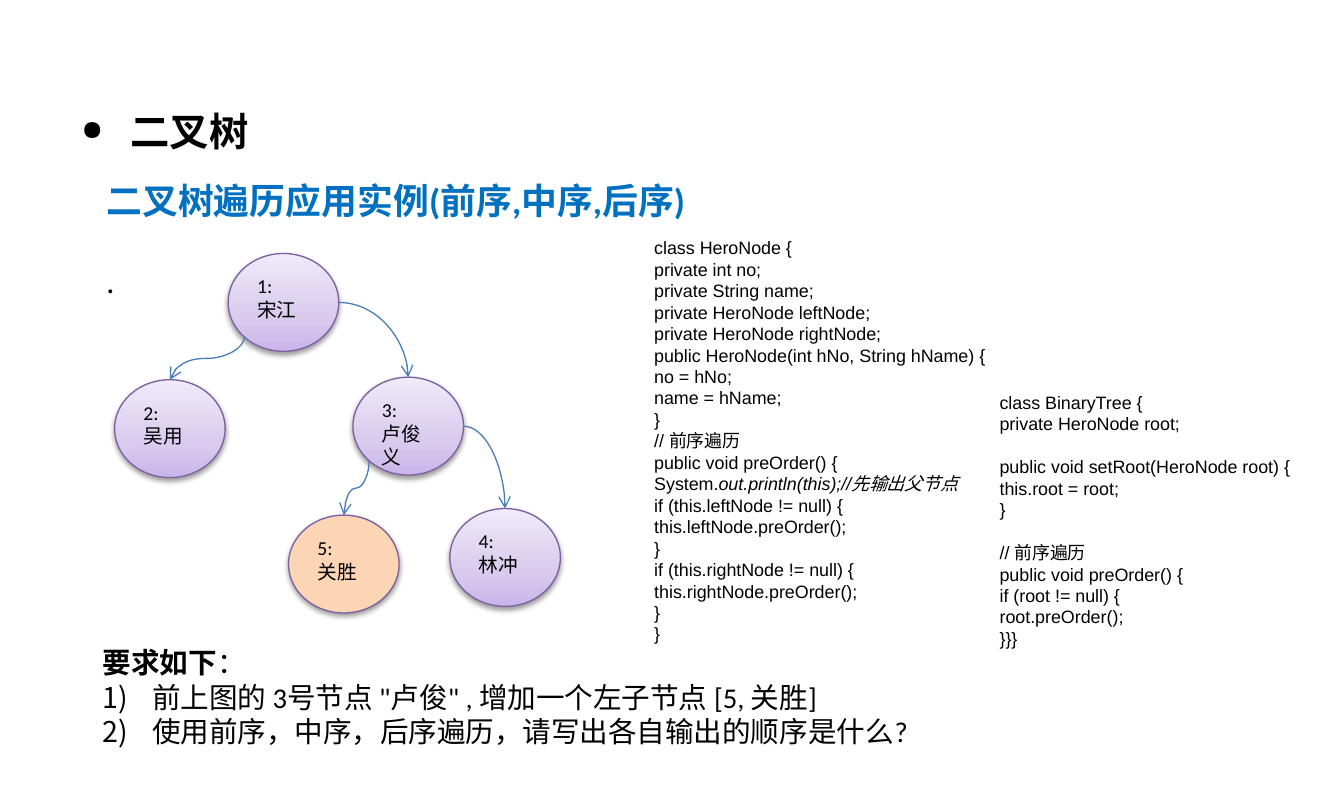
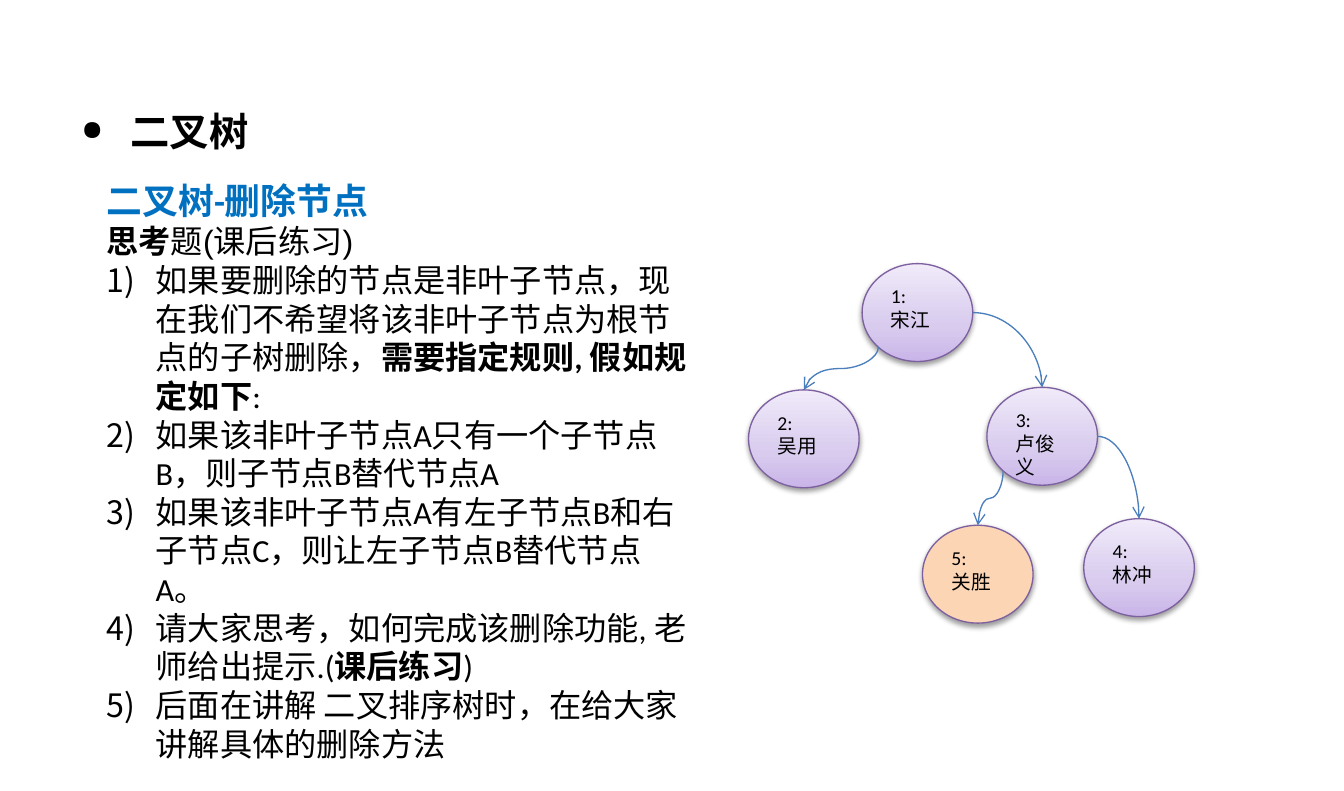
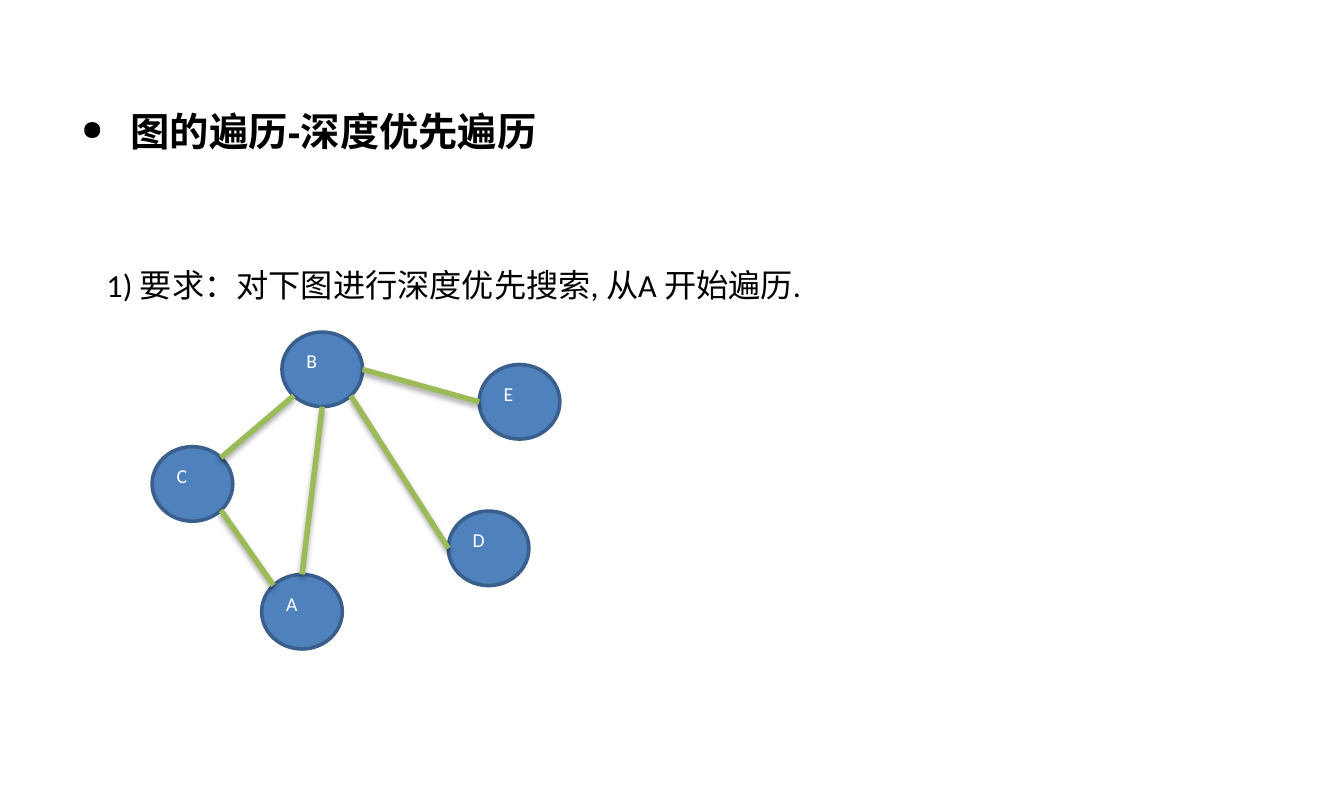
import copy

import lxml.etree
import pptx
import pptx.dml.color
import pptx.enum.shapes
import pptx.enum.text
import pptx.oxml.ns
import pptx.util

Cm = pptx.util.Cm
Pt = pptx.util.Pt
RGBColor = pptx.dml.color.RGBColor
qn = pptx.oxml.ns.qn

BLACK = RGBColor(0x00, 0x00, 0x00)
WHITE = RGBColor(0xFF, 0xFF, 0xFF)
HEADING_BLUE = RGBColor(0x00, 0x70, 0xC0)
VIOLET_DEEP = RGBColor(0xC9, 0xB5, 0xE8)
VIOLET_MIDDLE = RGBColor(0xD8, 0xCB, 0xEE)
VIOLET_PALE = RGBColor(0xF0, 0xEA, 0xF9)
VIOLET_LINE = RGBColor(0x7D, 0x60, 0xA0)
PEACH = RGBColor(0xFC, 0xD5, 0xB5)
ARROW_BLUE = RGBColor(0x4B, 0x7E, 0xBC)
NODE_BLUE = RGBColor(0x4F, 0x81, 0xBD)
NODE_LINE = RGBColor(0x3A, 0x5F, 0x8C)
EDGE_GREEN = RGBColor(0x9B, 0xBB, 0x59)

TITLE_ONLY = 5
INDENT = Cm(0.97)
CODE_LINE = 12

# Connection sites of an ellipse, counted anticlockwise from the top
TOP, TOP_LEFT, LEFT, BOTTOM_LEFT, BOTTOM, BOTTOM_RIGHT, RIGHT, TOP_RIGHT = range(8)
DIAGONAL = 0.7071
SITE_DIRECTIONS = (
    (0, -1), (-DIAGONAL, -DIAGONAL), (-1, 0), (-DIAGONAL, DIAGONAL),
    (0, 1), (DIAGONAL, DIAGONAL), (1, 0), (DIAGONAL, -DIAGONAL),
)

# Tree nodes: label, name, offset from the root in cm
TREE_NODES = (
    ("1:", "宋江", 0, 0),
    ("2:", "吴用", -2.24, 2.49),
    ("3:", "卢俊义", 2.46, 2.44),
    ("4:", "林冲", 4.37, 5.03),
    ("5:", "关胜", 1.19, 5.16),
)
ADDED_NODE = "5:"
TREE_LEFT_ARROWS = (("1:", "2:"), ("3:", "5:"))
TREE_RIGHT_ARROWS = (("1:", "3:"), ("3:", "4:"))

GRAPH_NODES = (
    ("B", 5.56, 6.55),
    ("C", 3.0, 8.81),
    ("A", 5.16, 11.33),
    ("D", 8.84, 10.08),
    ("E", 9.45, 7.19),
)
GRAPH_EDGES = (
    ("C", BOTTOM_RIGHT, "A", TOP_LEFT),
    ("C", TOP_RIGHT, "B", BOTTOM_LEFT),
    ("B", RIGHT, "E", LEFT),
    ("B", BOTTOM, "A", TOP),
    ("B", BOTTOM_RIGHT, "D", LEFT),
)

HERO_NODE_CODE = (
    "class HeroNode {",
    "private int no;",
    "private String name;",
    "private HeroNode leftNode;",
    "private HeroNode rightNode;",
    "public HeroNode(int hNo, String hName) {",
    "no = hNo;",
    "name = hName;",
    "}",
    "// 前序遍历",
    "public void preOrder() {",
    ("System.", ("out.println(this);//先输出父节点", {"italic": True})),
    "if (this.leftNode != null) {",
    "this.leftNode.preOrder();",
    "}",
    "if (this.rightNode != null) {",
    "this.rightNode.preOrder();",
    "}",
    "}",
)
BINARY_TREE_CODE = (
    "class BinaryTree {",
    "private HeroNode root;",
    "",
    "public void setRoot(HeroNode root) {",
    "this.root = root;",
    "}",
    "",
    "// 前序遍历",
    "public void preOrder() {",
    "if (root != null) {",
    "root.preOrder();",
    "}}}",
)


def bold(text):
    return text, {"bold": True}


class Deck:
    """Holds the shared style and the slide being filled."""

    def __init__(self):
        self.presentation = pptx.Presentation()
        self.presentation.slide_width = Cm(26.5)
        self.presentation.slide_height = Cm(15.6)
        self.slide = None

    def start_slide(self, title):
        layout = self.presentation.slide_layouts[TITLE_ONLY]
        self.slide = self.presentation.slides.add_slide(layout)
        shape = self.slide.shapes.title
        shape.left, shape.top, shape.width, shape.height = Cm(1.35), Cm(2.1), Cm(21.1), Cm(1.1)
        frame = shape.text_frame
        frame.auto_size = pptx.enum.text.MSO_AUTO_SIZE.NONE
        frame.vertical_anchor = pptx.enum.text.MSO_ANCHOR.TOP
        paragraph = frame.paragraphs[0]
        paragraph.line_spacing = 0.9
        self.add_bullet(paragraph, "a:buSzPct", val="70000")
        self.add_bullet(paragraph, "a:buChar", char="●")
        self.add_runs(paragraph, [bold(title)], 22, font_name="Arial")

    def add_bullet(self, paragraph, tag, **attributes):
        """Add one bullet element and hang the paragraph by the shared indent."""
        paragraph.alignment = pptx.enum.text.PP_ALIGN.LEFT
        properties = paragraph._p.get_or_add_pPr()
        properties.set("marL", str(INDENT))
        properties.set("indent", str(-INDENT))
        lxml.etree.SubElement(properties, qn(tag), attributes)

    def add_runs(self, paragraph, runs, size, color=BLACK, font_name="Calibri"):
        """Each run is plain text or a pair of text and font settings."""
        for item in runs:
            text, settings = (item, {}) if isinstance(item, str) else item
            run = paragraph.add_run()
            run.text = text
            run.font.name = font_name
            run.font.size = Pt(size)
            run.font.color.rgb = color
            run.font.bold = settings.get("bold", False)
            run.font.italic = settings.get("italic", False)

    def add_text_box(self, left, top, width, height, wrap=True):
        shape = self.slide.shapes.add_textbox(Cm(left), Cm(top), Cm(width), Cm(height))
        shape.text_frame.word_wrap = wrap
        return shape.text_frame

    def add_paragraph(self, frame, runs, size, color=BLACK, numbered=False,
                      font_name="Calibri"):
        first = frame.paragraphs[0]
        paragraph = frame.add_paragraph() if first.runs else first
        if numbered:
            self.add_bullet(paragraph, "a:buAutoNum", type="arabicParenR")
        self.add_runs(paragraph, runs, size, color, font_name)
        return paragraph

    def add_heading(self, frame, text):
        self.add_paragraph(frame, [bold(text)], 20, HEADING_BLUE)

    def add_code(self, left, top, width, height, lines):
        """Set code line by line; an empty line becomes space before the next."""
        frame = self.add_text_box(left, top, width, height, wrap=False)
        gap = 0
        for line in lines:
            if not line:
                gap += CODE_LINE
                continue
            runs = [line] if isinstance(line, str) else line
            paragraph = self.add_paragraph(frame, runs, 10, font_name="Arial")
            paragraph.line_spacing = Pt(CODE_LINE)
            if gap:
                paragraph.space_before = Pt(gap)
            gap = 0

    def add_shadow(self, properties, blur, distance, opacity):
        """Put a downward black shadow into a shape's or connector's spPr."""
        effects = properties.find(qn("a:effectLst"))
        shadow = lxml.etree.SubElement(
            effects, qn("a:outerShdw"), blurRad=str(Pt(blur)), dist=str(Pt(distance)),
            dir="5400000", rotWithShape="0")
        color = lxml.etree.SubElement(shadow, qn("a:srgbClr"), val=str(BLACK))
        lxml.etree.SubElement(color, qn("a:alpha"), val=str(opacity * 1000))

    def add_node(self, left, top, width, height, lines, text_color, line_color, line_width):
        shape = self.slide.shapes.add_shape(
            pptx.enum.shapes.MSO_SHAPE.OVAL, Cm(left), Cm(top), Cm(width), Cm(height))
        shape.shadow.inherit = False
        shape.line.color.rgb = line_color
        shape.line.width = Pt(line_width)
        frame = shape.text_frame
        frame.word_wrap = True
        frame.vertical_anchor = pptx.enum.text.MSO_ANCHOR.TOP
        for line in lines:
            paragraph = self.add_paragraph(frame, [line], 11, text_color)
            paragraph.alignment = pptx.enum.text.PP_ALIGN.LEFT
        return shape

    def fill_violet(self, shape):
        fill = shape.fill
        fill.gradient()
        fill.gradient_angle = 90
        stop_list = shape._element.spPr.find(qn("a:gradFill")).find(qn("a:gsLst"))
        stop_list.insert(1, copy.deepcopy(stop_list[0]))
        colors = (VIOLET_DEEP, VIOLET_MIDDLE, VIOLET_PALE)
        for stop, color, position in zip(fill.gradient_stops, colors, (0, 0.35, 1)):
            stop.color.rgb = color
            stop.position = position

    def site_point(self, shape, site):
        across, down = SITE_DIRECTIONS[site]
        return (round(shape.left + shape.width * (1 + across) / 2),
                round(shape.top + shape.height * (1 + down) / 2))

    def add_link(self, start, start_site, end, end_site, color, width, preset="line"):
        """Join two nodes; curvedConnector3 leaves downwards, so it is turned by 90°."""
        x1, y1 = self.site_point(start, start_site)
        x2, y2 = self.site_point(end, end_site)
        turned = preset == "curvedConnector3"
        if turned:
            middle_x, middle_y = (x1 + x2) // 2, (y1 + y2) // 2
            half_width, half_height = abs(y2 - y1) // 2, abs(x2 - x1) // 2
            x1, x2 = middle_x - half_width, middle_x + half_width
            y1, y2 = middle_y - half_height, middle_y + half_height
        connector = self.slide.shapes.add_connector(
            pptx.enum.shapes.MSO_CONNECTOR.STRAIGHT, x1, y1, x2, y2)
        connector.line.color.rgb = color
        connector.line.width = Pt(width)
        properties = connector._element.spPr
        properties.find(qn("a:prstGeom")).set("prst", preset)
        if turned:
            properties.find(qn("a:xfrm")).set("rot", "5400000")
        lxml.etree.SubElement(properties, qn("a:effectLst"))
        joints = connector._element.nvCxnSpPr.cNvCxnSpPr
        for tag, shape, site in (("a:stCxn", start, start_site), ("a:endCxn", end, end_site)):
            lxml.etree.SubElement(joints, qn(tag), id=str(shape.shape_id), idx=str(site))
        return properties

    def add_arrow(self, start, start_site, end, preset):
        properties = self.add_link(start, start_site, end, TOP, ARROW_BLUE, 0.75, preset)
        lxml.etree.SubElement(properties.find(qn("a:ln")), qn("a:tailEnd"), type="arrow")

    def add_hero_tree(self, left, top):
        nodes = {}
        for label, name, across, down in TREE_NODES:
            node = self.add_node(left + across, top + down, 2.18, 1.93, (label, name),
                                 BLACK, VIOLET_LINE, 0.75)
            if label == ADDED_NODE:
                node.fill.solid()
                node.fill.fore_color.rgb = PEACH
            else:
                self.fill_violet(node)
            self.add_shadow(node._element.spPr, 3.1, 1.6, 38)
            nodes[label] = node
        for parent, child in TREE_LEFT_ARROWS:
            self.add_arrow(nodes[parent], BOTTOM_LEFT, nodes[child], "curvedConnector3")
        for parent, child in TREE_RIGHT_ARROWS:
            self.add_arrow(nodes[parent], RIGHT, nodes[child], "curvedConnector2")

    def add_graph(self):
        nodes = {}
        for label, left, top in GRAPH_NODES:
            node = self.add_node(left, top, 1.59, 1.47, (label,), WHITE, NODE_LINE, 2)
            node.fill.solid()
            node.fill.fore_color.rgb = NODE_BLUE
            nodes[label] = node
        for start, start_site, end, end_site in GRAPH_EDGES:
            properties = self.add_link(nodes[start], start_site, nodes[end], end_site,
                                       EDGE_GREEN, 3)
            self.add_shadow(properties, 3.1, 1.8, 35)


def build_traversal_slide(deck):
    deck.start_slide("二叉树")
    frame = deck.add_text_box(1.85, 3.4, 22.6, 8.8)
    deck.add_heading(frame, "二叉树遍历应用实例(前序,中序,后序)")
    deck.add_paragraph(frame, ["."], 18).space_before = Pt(22)

    frame = deck.add_text_box(1.78, 12.6, 22.7, 2.3)
    deck.add_paragraph(frame, [bold("要求如下"), "："], 16)
    for task in ('前上图的 3号节点 "卢俊" , 增加一个左子节点 [5, 关胜]',
                 "使用前序，中序，后序遍历，请写出各自输出的顺序是什么?"):
        deck.add_paragraph(frame, [task], 16, numbered=True)

    deck.add_hero_tree(4.5, 5.0)
    deck.add_code(12.65, 4.55, 7.1, 8.4, HERO_NODE_CODE)
    deck.add_code(19.46, 7.6, 6.3, 5.4, BINARY_TREE_CODE)


def build_deletion_slide(deck):
    deck.start_slide("二叉树")
    frame = deck.add_text_box(1.85, 3.4, 12, 11.1)
    deck.add_heading(frame, "二叉树-删除节点")
    deck.add_paragraph(frame, [bold("思考"), "题(课后练习)"], 18, font_name="Arial")
    rules = (
        ["如果要删除的节点是非叶子节点，现在我们不希望将该非叶子节点为根节点的子树删除，",
         bold("需要指定规则, 假如规定如下"), ":"],
        ["如果该非叶子节点A只有一个子节点B，则子节点B替代节点A"],
        ["如果该非叶子节点A有左子节点B和右子节点C，则让左子节点B替代节点A。"],
        ["请大家思考，如何完成该删除功能, 老师给出提示.(", bold("课后练习"), ")"],
        ["后面在讲解 二叉排序树时，在给大家讲解具体的删除方法"],
    )
    for runs in rules:
        deck.add_paragraph(frame, runs, 18, numbered=True)
    deck.add_hero_tree(17, 5.2)


def build_graph_slide(deck):
    deck.start_slide("图的遍历-深度优先遍历")
    frame = deck.add_text_box(1.85, 5.1, 23.4, 1.2)
    deck.add_paragraph(frame, ["1) 要求：对下图进行深度优先搜索, 从A 开始遍历."], 18)
    deck.add_graph()


def main():
    deck = Deck()
    build_traversal_slide(deck)
    build_deletion_slide(deck)
    build_graph_slide(deck)
    deck.presentation.save("out.pptx")


if __name__ == "__main__":
    main()
